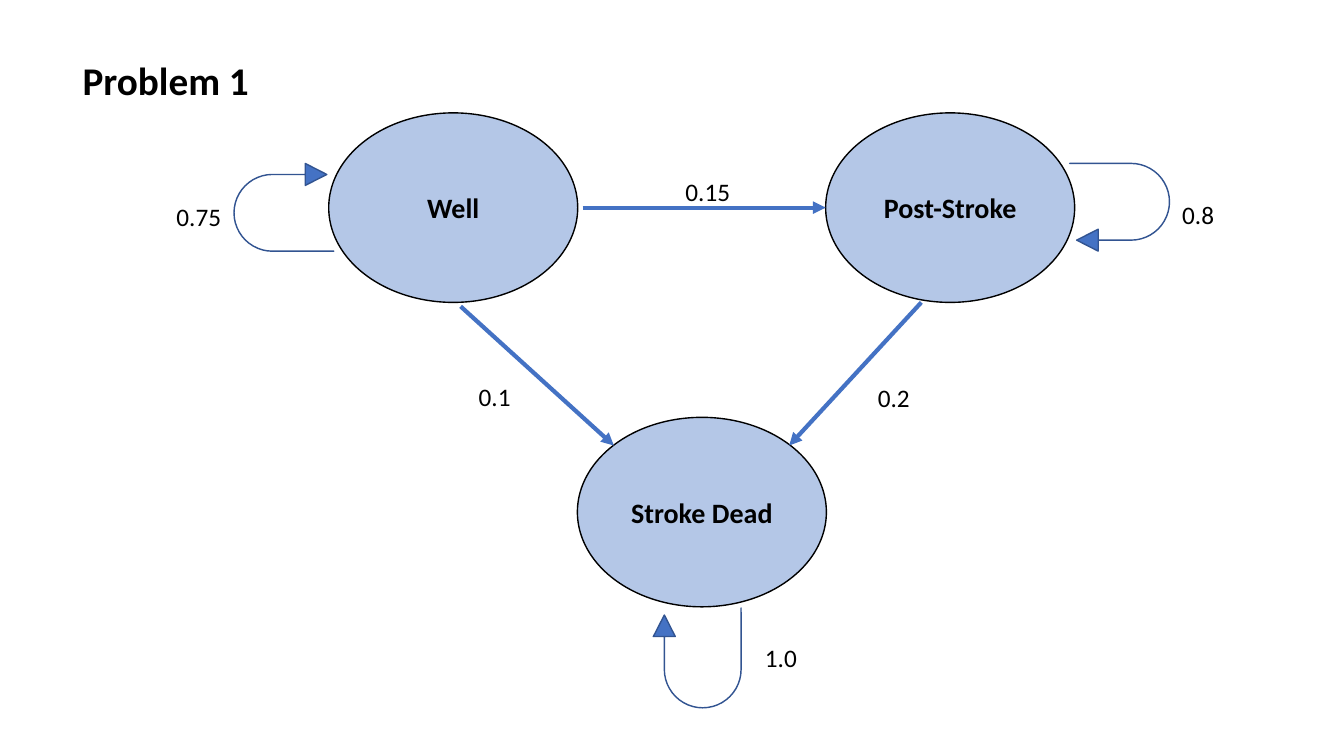
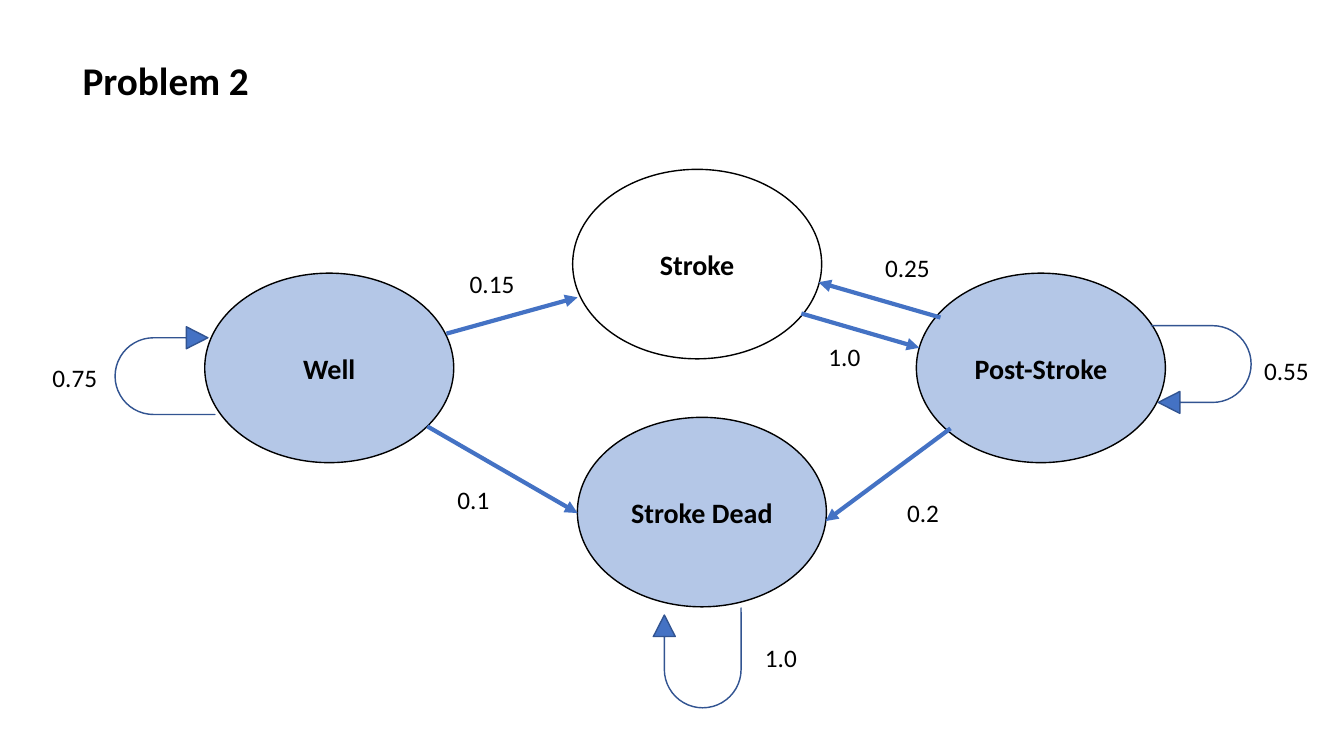
from dataclasses import dataclass
from typing import Optional

from lxml.etree import SubElement
from pptx import Presentation
from pptx.dml.color import RGBColor
from pptx.enum.shapes import MSO_CONNECTOR as Connector, MSO_SHAPE as Preset
from pptx.enum.text import MSO_ANCHOR as Anchor, MSO_AUTO_SIZE as AutoSize, PP_ALIGN as Align
from pptx.oxml.ns import qn
from pptx.util import Inches, Pt

SLIDE_WIDTH, SLIDE_HEIGHT = Inches(13.333), Inches(7.5)
COLUMN, ROW = SLIDE_WIDTH / 40, SLIDE_HEIGHT / 22.5
FONT = "Calibri"
BLACK, STATE_BLUE, ARROW_BLUE, LOOP_EDGE = "000000", "B4C7E7", "4472C4", "325491"
STATE_SIZE, LOOP_SIZE = (7.41, 5.64), (2.61, 2.97)
LABEL_HEIGHT, CHARACTER_WIDTH = 1.2, 0.39
TITLE_BOX = (2.16, 1.53, 5.61, 1.71)
LOOP_ADJUSTMENTS = (0, 0.125, 0.246, 0.473, 0.93)


@dataclass(frozen=True)
class State:
    name: str
    column: float
    row: float
    fill: Optional[str] = STATE_BLUE


@dataclass(frozen=True)
class Loop:
    column: float
    row: float
    rotation: int


@dataclass(frozen=True)
class Arrow:
    start: tuple[float, float]
    end: tuple[float, float]


@dataclass(frozen=True)
class Label:
    text: str
    column: float
    row: float


@dataclass(frozen=True)
class Diagram:
    title: str
    states: list[State]
    loops: list[Loop]
    arrows: list[Arrow]
    labels: list[Label]


DEAD_STATE = State("Stroke Dead", 20.89, 15.24)
DEAD_LOOP = Loop(20.75, 19.58, 180)
DEAD_LABEL = Label("1.0", 23.25, 19.56)

DIAGRAMS = [
    Diagram(
        "Problem 1",
        [State("Well", 13.49, 6.18), State("Post-Stroke", 28.28, 6.18), DEAD_STATE],
        [Loop(8.45, 6.17, 270), Loop(33.32, 6.17, 90), DEAD_LOOP],
        [
            Arrow((17.34, 6.18), (24.57, 6.18)),
            Arrow((13.71, 9.12), (18.27, 13.26)),
            Arrow((27.42, 9), (23.49, 13.26)),
        ],
        [
            Label("0.15", 21.08, 5.7),
            Label("0.75", 5.93, 6.45),
            Label("0.1", 14.73, 11.79),
            Label("0.8", 35.67, 6.39),
            Label("0.2", 26.61, 11.82),
            DEAD_LABEL,
        ],
    ),
    Diagram(
        "Problem 2",
        [
            State("Well", 9.8, 10.95),
            State("Post-Stroke", 30.98, 10.95),
            DEAD_STATE,
            State("Stroke", 20.75, 7.86, None),
        ],
        [Loop(4.91, 11.03, 270), Loop(35.75, 11, 90), DEAD_LOOP],
        [
            Arrow((13.29, 9.93), (17.19, 8.85)),
            Arrow((12.72, 12.69), (17.19, 15.27)),
            Arrow((28.29, 12.75), (24.57, 15.51)),
            Arrow((23.85, 9.33), (27.36, 10.35)),
            Arrow((27.99, 9.45), (24.36, 8.4)),
        ],
        [
            Label("0.15", 14.66, 8.43),
            Label("0.75", 2.24, 11.25),
            Label("0.1", 14.1, 14.88),
            Label("0.55", 38.3, 11.04),
            Label("0.2", 27.48, 15.24),
            Label("1.0", 25.14, 10.62),
            Label("0.25", 27.02, 7.95),
            DEAD_LABEL,
        ],
    ),
]


def color(value: str) -> RGBColor:
    return RGBColor.from_string(value)


def grid(*lengths: float) -> list[int]:
    return [round(length * (ROW if index % 2 else COLUMN)) for index, length in enumerate(lengths)]


def centred_box(column: float, row: float, width: float, height: float) -> list[int]:
    return grid(column - width / 2, row - height / 2, width, height)


def write(shape, text: str, size: int, bold: bool, align: Align) -> None:
    paragraph = shape.text_frame.paragraphs[0]
    paragraph.alignment = align
    run = paragraph.add_run()
    run.text = text
    run.font.name, run.font.size, run.font.bold = FONT, Pt(size), bold
    run.font.color.rgb = color(BLACK)


def fit_to_text(shape) -> None:
    frame = shape.text_frame
    frame.word_wrap = False
    frame.auto_size = AutoSize.SHAPE_TO_FIT_TEXT
    frame.vertical_anchor = Anchor.TOP


def add_preset(slide, preset: Preset, box: list[int], fill: Optional[str], line: str):
    shape = slide.shapes.add_shape(preset, *box)
    shape.shadow.inherit = False
    if fill:
        shape.fill.solid()
        shape.fill.fore_color.rgb = color(fill)
    else:
        shape.fill.background()
    shape.line.color.rgb = color(line)
    shape.line.width = Pt(1)
    return shape


def draw_title(slide, text: str) -> None:
    title = slide.shapes.title
    title.left, title.top, title.width, title.height = grid(*TITLE_BOX)
    fit_to_text(title)
    write(title, text, 28, True, Align.LEFT)


def draw_state(slide, state: State) -> None:
    box = centred_box(state.column, state.row, *STATE_SIZE)
    shape = add_preset(slide, Preset.OVAL, box, state.fill, BLACK)
    shape.text_frame.vertical_anchor = Anchor.MIDDLE
    write(shape, state.name, 20, True, Align.CENTER)


def draw_loop(slide, loop: Loop) -> None:
    box = centred_box(loop.column, loop.row, *LOOP_SIZE)
    shape = add_preset(slide, Preset.U_TURN_ARROW, box, ARROW_BLUE, LOOP_EDGE)
    shape.rotation = loop.rotation
    for index, adjustment in enumerate(LOOP_ADJUSTMENTS):
        shape.adjustments[index] = adjustment


def draw_arrow(slide, arrow: Arrow) -> None:
    connector = slide.shapes.add_connector(Connector.STRAIGHT, *grid(*arrow.start, *arrow.end))
    connector.line.color.rgb = color(ARROW_BLUE)
    connector.line.width = Pt(3)
    properties = connector.element.spPr
    SubElement(properties.find(qn("a:ln")), qn("a:tailEnd"), type="triangle")
    SubElement(properties, qn("a:effectLst"))


def draw_label(slide, label: Label) -> None:
    width = CHARACTER_WIDTH * (len(label.text) + 1)
    box = centred_box(label.column, label.row, width, LABEL_HEIGHT)
    shape = slide.shapes.add_textbox(*box)
    fit_to_text(shape)
    write(shape, label.text, 18, False, Align.LEFT)


def draw_diagram(presentation, diagram: Diagram) -> None:
    slide = presentation.slides.add_slide(presentation.slide_layouts[5])
    draw_title(slide, diagram.title)
    for state in diagram.states:
        draw_state(slide, state)
    for loop in diagram.loops:
        draw_loop(slide, loop)
    for arrow in diagram.arrows:
        draw_arrow(slide, arrow)
    for label in diagram.labels:
        draw_label(slide, label)


presentation = Presentation()
presentation.slide_width, presentation.slide_height = SLIDE_WIDTH, SLIDE_HEIGHT
for diagram in DIAGRAMS:
    draw_diagram(presentation, diagram)
presentation.save("out.pptx")
